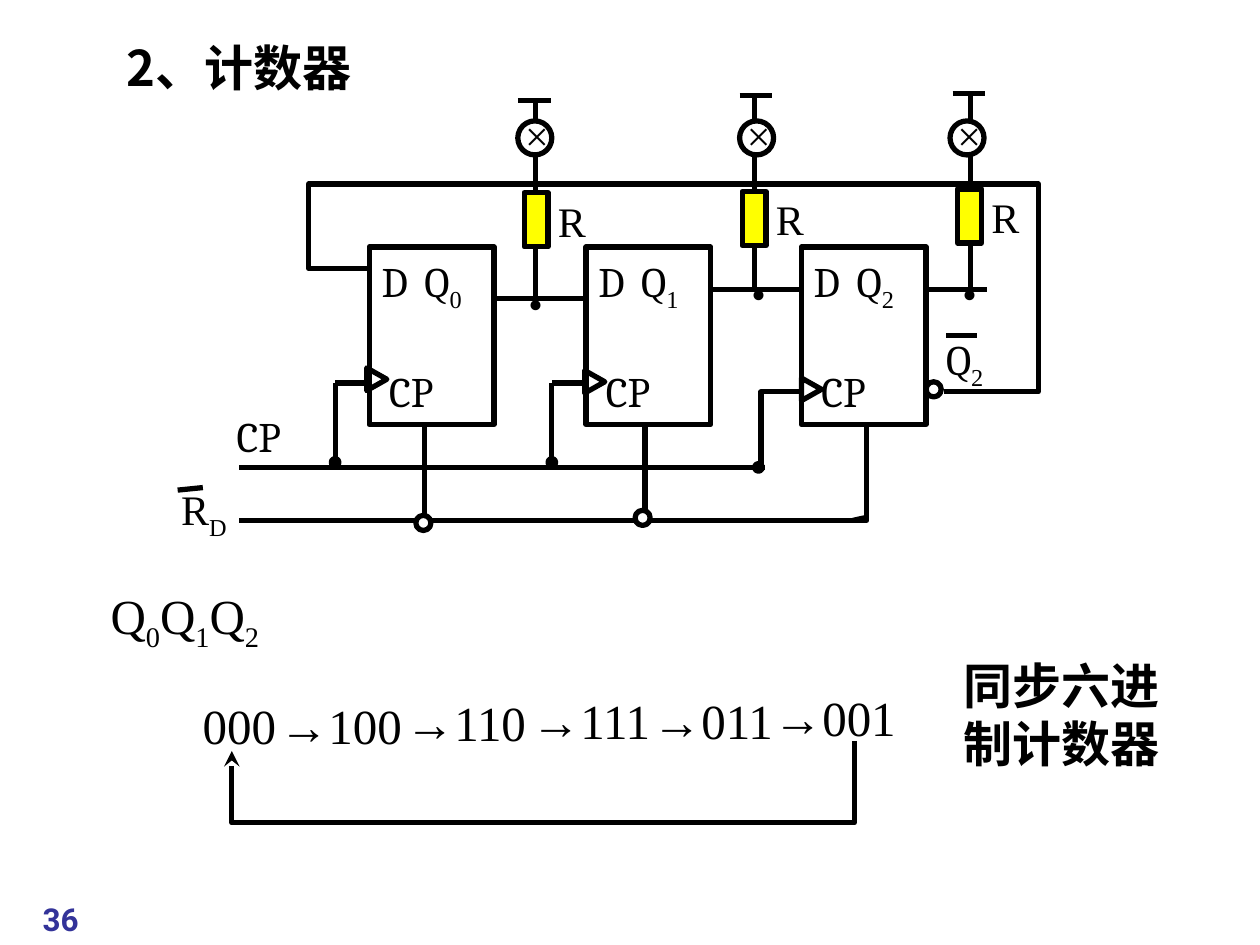
from lxml import etree
from pptx import Presentation, util as u
from pptx.dml.color import RGBColor
from pptx.enum import shapes as kinds, text as t
from pptx.oxml.ns import qn

PX = 9144  # 100 px to the inch
BLACK, WHITE, YELLOW, NAVY = "000000", "FFFFFF", "FFFF00", "333399"
SERIF, CAMBRIA, CJK = "Times New Roman", "Cambria", "Noto Sans CJK SC"
KIND = kinds.MSO_SHAPE

# flip-flop left, clock wedge left and top
FLIP_FLOPS = [(293, 290, 293), (465, 463, 295), (636, 635, 301)]
FLIP_FLOP_TOP, FLIP_FLOP_SIZE = 196, (99, 141)

# lamp stem x and bottom; supply bar left and y; lamp left; node dot left and top;
# resistor left and top
LAMPS = [
    (425, 237, 411, 80, 411, 407, 174, 416, 153),
    (599, 231, 587, 76, 587, 584, 166, 589, 152),
    (770, 229, 756, 74, 754, 752, 166, 760, 150),
]

WIRES = [
    (392, 237, 465, 237), (564, 230, 636, 230), (736, 230, 783, 230),
    (190, 371, 607, 371),
    (266, 304, 293, 304), (266, 304, 266, 364),
    (438, 304, 465, 304), (438, 304, 438, 364),
    (512, 336, 512, 411), (337, 336, 337, 411), (677, 413, 686, 411),
]
OVERLINES = [(141, 389, 161, 387), (751, 266, 775, 266)]

CLOCK_PATH = [(635, 311), (604, 311), (604, 372)]
RESET_PATH = [(688, 336), (688, 413), (190, 413)]
FEEDBACK_PATH = [(749, 311), (824, 311), (824, 146), (245, 146), (245, 213), (294, 213)]
LOOP_PATH = [(678, 588), (678, 653), (184, 653), (184, 596)]

CLOCK_DOTS = [(263, 364), (435, 364), (599, 368)]
INVERSION_BUBBLES = [(504, 405, WHITE), (330, 409, WHITE), (735, 303, None)]

# text ("_" lowers the next character), left, top, width, height, size, font, bold, colour
LABELS = [
    ("CP", 178, 321, 62, 50, 24, CAMBRIA, False, BLACK),
    ("R_D", 134, 379, 96, 50, 24, SERIF, False, BLACK),
    ("Q_2", 741, 260, 59, 50, 24, CAMBRIA, False, BLACK),
    ("Q_0Q_1Q_2", 78, 460, 176, 57, 28, SERIF, False, BLACK),
    ("同步六进制计数器", 755, 515, 198, 103, 28, CJK, True, BLACK),
    ("2、计数器", 91, 25, 277, 57, 28, CJK, True, BLACK),
    ("36", 24, 709, 99, 37, 18, "Roboto", True, NAVY),
]
STATES = [
    ("000", 151, 547, 88), ("→100", 212, 547, 143), ("→110", 312, 545, 143),
    ("→111", 412, 543, 143), ("→011", 508, 543, 143), ("→001", 604, 541, 143),
]

presentation = Presentation()
presentation.slide_width, presentation.slide_height = 1000 * PX, 750 * PX
slide = presentation.slides.add_slide(presentation.slide_layouts[6])
shapes = slide.shapes


def colour(value):
    return RGBColor.from_string(value)


def emu(*lengths):
    return [length * PX for length in lengths]


def style(shape, fill=None):
    shape.shadow.inherit = False
    if fill:
        shape.fill.solid()
        shape.fill.fore_color.rgb = colour(fill)
    else:
        shape.fill.background()
    shape.line.color.rgb = colour(BLACK)
    shape.line.width = u.Pt(3)
    return shape


def add_outlined(kind, left, top, width, height, fill=None):
    return style(shapes.add_shape(kind, *emu(left, top, width, height)), fill)


def add_wire(x1, y1, x2, y2):
    wire = shapes.add_connector(kinds.MSO_CONNECTOR.STRAIGHT, *emu(x1, y1, x2, y2))
    wire.line.color.rgb = colour(BLACK)
    wire.line.width = u.Pt(3)
    etree.SubElement(wire._element.spPr, qn("a:effectLst"))


def add_path(points):
    builder = shapes.build_freeform(*points[0], scale=PX)
    builder.add_line_segments(points[1:], close=False)
    return style(builder.convert_to_shape())


def write(paragraph, content, size, font, bold=False, ink=BLACK):
    """Fill a paragraph; the character after each "_" becomes a subscript."""
    first, *rest = content.split("_")
    pieces = [(first, False)]
    for part in rest:
        pieces += [(part[0], True), (part[1:], False)]
    paragraph.alignment = t.PP_ALIGN.LEFT
    for piece, lowered in pieces:
        if not piece:
            continue
        run = paragraph.add_run()
        run.text = piece
        run.font.size = u.Pt(size)
        run.font.bold = bold
        run.font.color.rgb = colour(ink)
        run.font.name = SERIF if lowered else font
        properties = run.font._element
        if lowered:
            properties.set("baseline", "-25000")
        if font == CJK:
            etree.SubElement(properties, qn("a:ea"), typeface=font)


def add_label(content, left, top, width, height, size, font, bold=False, ink=BLACK):
    box = shapes.add_textbox(*emu(left, top, width, height))
    box.text_frame.word_wrap = True
    write(box.text_frame.paragraphs[0], content, size, font, bold, ink)


def add_flip_flop(index, left):
    frame = add_outlined(KIND.RECTANGLE, left, FLIP_FLOP_TOP, *FLIP_FLOP_SIZE).text_frame
    frame.vertical_anchor = t.MSO_ANCHOR.MIDDLE
    data, clock = frame.paragraphs[0], frame.add_paragraph()
    tabs = etree.SubElement(data._p.get_or_add_pPr(), qn("a:tabLst"))
    etree.SubElement(tabs, qn("a:tab"), pos=str(34 * PX), algn="l")
    write(data, f"D\tQ_{index}", 24, CAMBRIA)
    clock._p.get_or_add_pPr().set("marL", str(6 * PX))
    clock.space_before = u.Pt(30)
    write(clock, "CP", 24, CAMBRIA)


for index, (left, _, _) in enumerate(FLIP_FLOPS):
    add_flip_flop(index, left)
for wire in WIRES:
    add_wire(*wire)
for path in (CLOCK_PATH, RESET_PATH, FEEDBACK_PATH):
    add_path(path)
for left, top in CLOCK_DOTS:
    add_outlined(KIND.OVAL, left, top, 6, 6, BLACK)
for left, top, fill in INVERSION_BUBBLES:
    add_outlined(KIND.OVAL, left, top, 12, 12, fill)
for _, left, top in FLIP_FLOPS:
    add_outlined(KIND.ISOSCELES_TRIANGLE, left, top, 18, 16).rotation = 90

for stem, bottom, bar, bar_y, lamp, dot, dot_top, resistor, resistor_top in LAMPS:
    add_wire(stem, bottom, stem, bar_y)
    add_wire(bar, bar_y, bar + 26, bar_y)
    add_outlined(KIND.OVAL, lamp, 96, 27, 27, WHITE)
    add_label("×", lamp - 4, 82, 57, 50, 24, SERIF)
    add_label(".", dot, dot_top, 39, 90, 48, SERIF)
    add_outlined(KIND.RECTANGLE, resistor, resistor_top, 19, 43, YELLOW)
    add_label("R", resistor + 17, resistor_top - 3, 62, 50, 24, SERIF)

for label in LABELS:
    add_label(*label)
for overline in OVERLINES:
    add_wire(*overline)
for state, left, top, width in STATES:
    add_label(state, left, top, width, 57, 28, SERIF)
loop = add_path(LOOP_PATH)
etree.SubElement(loop.line._get_or_add_ln(), qn("a:tailEnd"), type="stealth")

presentation.save("out.pptx")
